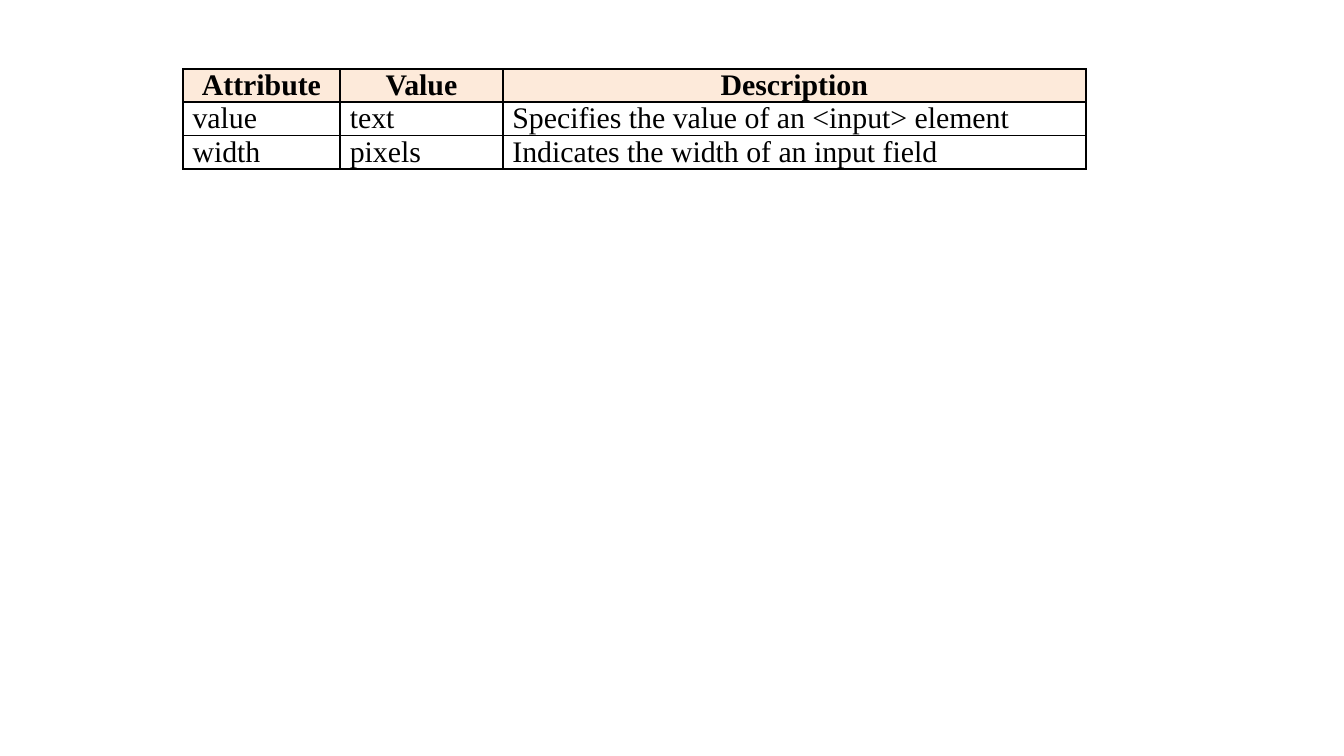
from lxml import etree
from pptx import Presentation
from pptx.dml.color import RGBColor
from pptx.enum.text import PP_ALIGN
from pptx.oxml.ns import qn
from pptx.util import Pt

CENTER, LEFT = PP_ALIGN.CENTER, PP_ALIGN.LEFT
FONT = "Times New Roman"
BLACK, PEACH = "000000", "FDEADA"
COL_WIDTHS = [84.24, 87.12, 312.48]
ROW_HEIGHT = 17.7
ROWS = [
    ["Attribute", "Value", "Description"],
    ["value", "text", "Specifies the value of an <input> element"],
    ["width", "pixels", "Indicates the width of an input field"],
]


def rgb(value):
    """Turn a hex string into a colour."""
    return RGBColor.from_string(value)


def write(tf, text, size=16, color=BLACK, bold=False, align=LEFT):
    """Put one formatted run into a text frame."""
    p = tf.paragraphs[0]
    p.alignment = align
    r = p.add_run()
    r.text = text
    r.font.name = FONT
    r.font.size = Pt(size)
    r.font.bold = bold
    r.font.color.rgb = rgb(color)


def add_borders(cell, width=1, color=BLACK):
    """Draw a solid line on all four sides of a cell."""
    tc_pr = cell._tc.get_or_add_tcPr()
    for i, side in enumerate(["a:lnL", "a:lnR", "a:lnT", "a:lnB"]):
        ln = etree.Element(qn(side), w=str(Pt(width)))
        fill = etree.SubElement(ln, qn("a:solidFill"))
        etree.SubElement(fill, qn("a:srgbClr"), val=color)
        tc_pr.insert(i, ln)


def format_cell(cell, text, header):
    """Set the margins, fill, borders and text of a cell."""
    cell.margin_left = cell.margin_right = Pt(5.2)
    cell.margin_top = cell.margin_bottom = Pt(0)
    if header:
        cell.fill.solid()
        cell.fill.fore_color.rgb = rgb(PEACH)
    else:
        cell.fill.background()
    add_borders(cell)
    write(cell.text_frame, text, bold=header, align=CENTER if header else LEFT)


def add_attribute_table(s, left, top, width, height):
    """Add the table of input attributes inside the given box."""
    frame = s.shapes.add_table(len(ROWS), len(COL_WIDTHS),
                               Pt(left), Pt(top), Pt(width), Pt(height))
    table = frame.table
    table.horz_banding = False
    for column, share in zip(table.columns, COL_WIDTHS):
        column.width = Pt(width * share / sum(COL_WIDTHS))
    for i, texts in enumerate(ROWS):
        table.rows[i].height = Pt(height / len(ROWS))
        for j, text in enumerate(texts):
            format_cell(table.cell(i, j), text, header=i == 0)


def main():
    """Build and save the slide."""
    prs = Presentation()
    prs.slide_width, prs.slide_height = Pt(720), Pt(405)
    s = prs.slides.add_slide(prs.slide_layouts[6])
    add_attribute_table(s, 98, 37, sum(COL_WIDTHS), ROW_HEIGHT * len(ROWS))
    prs.save("out.pptx")


if __name__ == "__main__":
    main()
